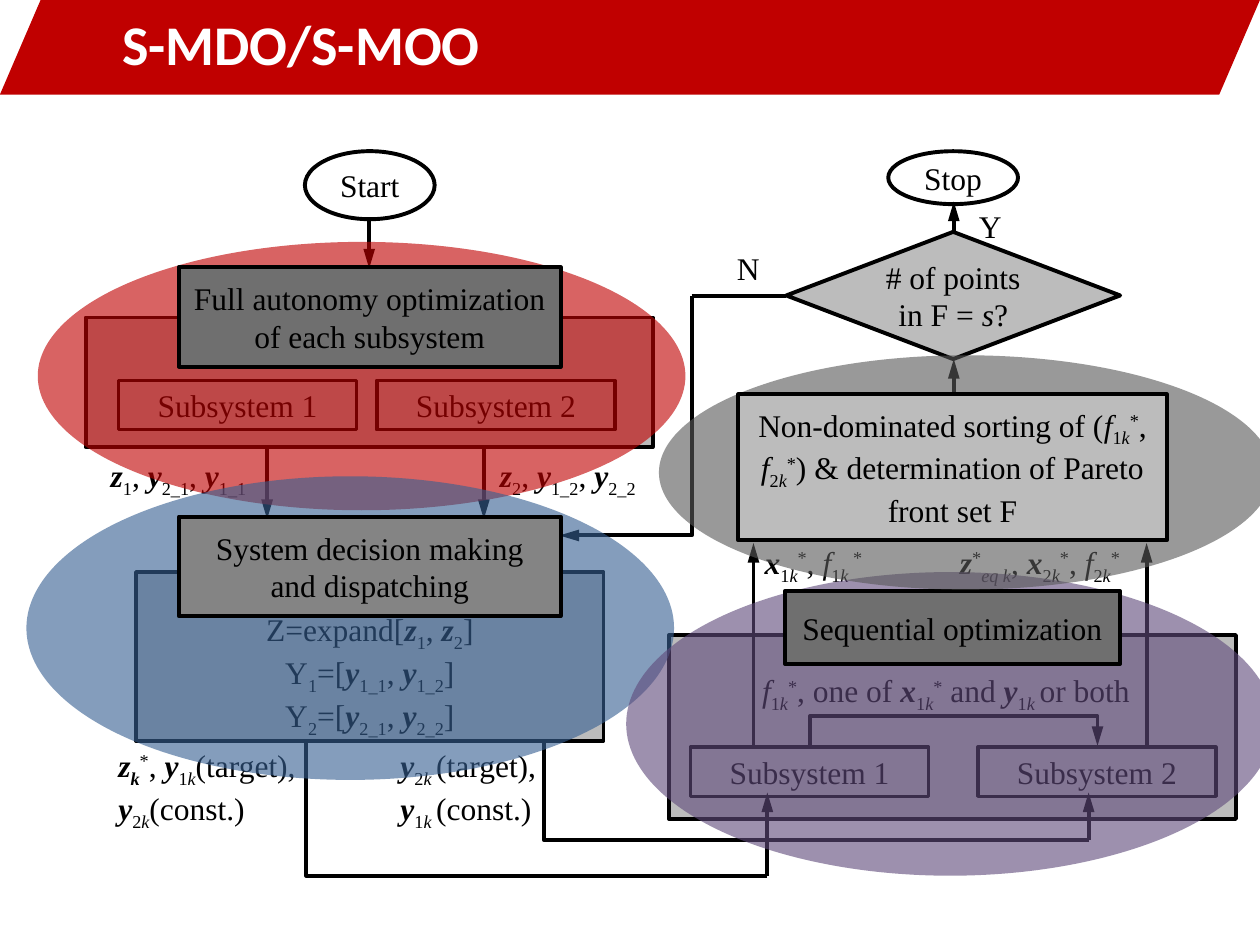
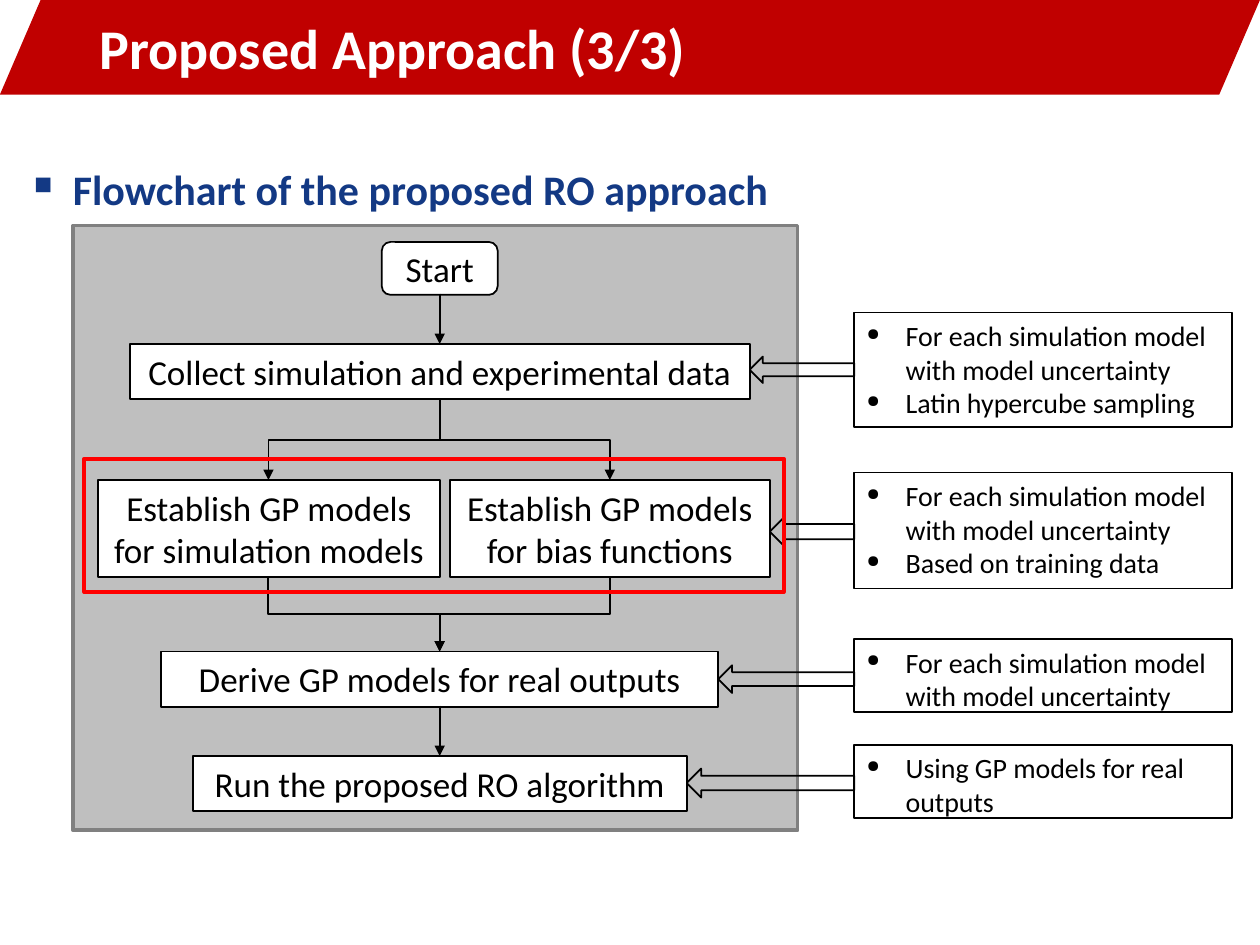
from lxml import etree
from pptx import Presentation
from pptx.dml.color import RGBColor
from pptx.enum.shapes import MSO_CONNECTOR, MSO_SHAPE
from pptx.enum.text import MSO_ANCHOR, MSO_AUTO_SIZE, PP_ALIGN
from pptx.oxml.ns import qn
from pptx.util import Inches, Pt

RECT, ELLIPSE, DIAMOND = MSO_SHAPE.RECTANGLE, MSO_SHAPE.OVAL, MSO_SHAPE.DIAMOND
ROUNDED, LEFT_ARROW = MSO_SHAPE.ROUNDED_RECTANGLE, MSO_SHAPE.LEFT_ARROW
SLANTED = MSO_SHAPE.PARALLELOGRAM
STRAIGHT, ELBOW = MSO_CONNECTOR.STRAIGHT, MSO_CONNECTOR.ELBOW
LEFT, CENTER = PP_ALIGN.LEFT, PP_ALIGN.CENTER
TOP, MIDDLE = MSO_ANCHOR.TOP, MSO_ANCHOR.MIDDLE

BLACK = RGBColor(0x00, 0x00, 0x00)
WHITE = RGBColor(0xFF, 0xFF, 0xFF)
CRIMSON = RGBColor(0xC0, 0x00, 0x00)
RED = RGBColor(0xFF, 0x00, 0x00)
BLUE = RGBColor(0x37, 0x60, 0x92)
PURPLE = RGBColor(0x60, 0x4A, 0x7B)
CHARCOAL = RGBColor(0x59, 0x59, 0x59)
NAVY = RGBColor(0x13, 0x39, 0x84)
LIGHT_GRAY = RGBColor(0xBC, 0xBC, 0xBC)
MID_GRAY = RGBColor(0x84, 0x84, 0x84)
DARK_GRAY = RGBColor(0x6F, 0x6F, 0x6F)
PANEL_GRAY = RGBColor(0xBF, 0xBF, 0xBF)
PANEL_EDGE = RGBColor(0x80, 0x80, 0x80)

SANS, SERIF = "Calibri", "Times New Roman"
THICK, THIN = 2.25, 1
BASELINES = {"d": "-25000", "u": "30000"}


def add_bullet(para, symbol):
    """Give the paragraph a hanging bullet at 60% of the text size."""
    properties = para._p.get_or_add_pPr()
    properties.set("marL", str(Inches(0.31)))
    properties.set("indent", str(-Inches(0.31)))
    etree.SubElement(properties, qn("a:buSzPct")).set("val", "60000")
    etree.SubElement(properties, qn("a:buChar")).set("char", symbol)


def write(box, text, size=18, font=SERIF, color=BLACK, bold=False,
          align=CENTER, anchor=MIDDLE, bullet=None, top_inset=0.05):
    """Write text: "|" parts spans; flags b, i, d (sub), u (super) precede "~"."""
    frame = box.text_frame
    frame.word_wrap = True
    frame.auto_size = MSO_AUTO_SIZE.NONE
    frame.vertical_anchor = anchor
    frame.margin_top = Inches(top_inset)
    for number, line in enumerate(text.split("\n")):
        para = frame.add_paragraph() if number else frame.paragraphs[0]
        para.alignment = align
        if bullet:
            add_bullet(para, bullet)
        for part in line.split("|"):
            flags, _, words = part.rpartition("~")
            span = para.add_run()
            span.text = words
            span.font.name = font
            span.font.size = Pt(size)
            span.font.color.rgb = color
            span.font.bold = bold or "b" in flags
            span.font.italic = "i" in flags
            for flag in BASELINES.keys() & set(flags):
                span._r.get_or_add_rPr().set("baseline", BASELINES[flag])


def add_box(slide, kind, place, text=None, fill=None, line=BLACK, width=THICK,
            **text_format):
    box = slide.shapes.add_shape(kind, *map(Inches, place))
    box.shadow.inherit = False
    if fill is None:
        box.fill.background()
    else:
        box.fill.solid()
        box.fill.fore_color.rgb = fill
    if line is None:
        box.line.fill.background()
    else:
        box.line.color.rgb = line
        box.line.width = Pt(width)
    if text:
        write(box, text, **text_format)
    return box


def add_label(slide, place, text, **text_format):
    label = slide.shapes.add_textbox(*map(Inches, place))
    write(label, text, **{"align": LEFT, "anchor": TOP, **text_format})


def add_halo(slide, place, color):
    """Draw a see-through ellipse over a stage of the flow."""
    halo = add_box(slide, ELLIPSE, place, fill=color, line=None)
    tint = halo._element.spPr.find(qn("a:solidFill"))[0]
    etree.SubElement(tint, qn("a:alpha")).set("val", "61000")


def add_line(slide, start, end, kind=STRAIGHT, width=THICK, arrow=True):
    line = slide.shapes.add_connector(kind, *map(Inches, start + end))
    line.line.color.rgb = BLACK
    line.line.width = Pt(width)
    if arrow:
        head = etree.SubElement(line.line._get_or_add_ln(), qn("a:tailEnd"))
        head.set("type", "triangle")
        head.set("len", "lg" if width == THICK else "med")
    etree.SubElement(line._element.spPr, qn("a:effectLst"))
    return line


def add_elbow(slide, start, end, bend=0.5, upright=False, **line_format):
    """Join two points by a bent line; an upright one leaves vertically."""
    if upright:
        # Lay the path on its side around its centre, then turn it by 90 degrees
        (x1, y1), (x2, y2) = start, end
        middle_x, middle_y = (x1 + x2) / 2, (y1 + y2) / 2
        half_x, half_y = (x2 - x1) / 2, (y2 - y1) / 2
        start = (middle_x - half_y, middle_y + half_x)
        end = (middle_x + half_y, middle_y - half_x)
    line = add_line(slide, start, end, ELBOW, **line_format)
    properties = line._element.spPr
    if upright:
        properties.find(qn("a:xfrm")).set("rot", "5400000")
    guides = properties.find(qn("a:prstGeom")).get_or_add_avLst()
    guide = etree.SubElement(guides, qn("a:gd"))
    guide.set("name", "adj1")
    guide.set("fmla", f"val {round(bend * 100000)}")


def add_band(slide):
    """Draw the title band and place it on the slide's layout."""
    band = add_box(slide, SLANTED, (0, 0, 10, 0.75), fill=CRIMSON, line=None)
    band.adjustments[0] = 0.43
    band._element.nvSpPr.cNvPr.set("id", "100")
    slide.slide_layout.shapes._spTree.insert(2, band._element)


def set_title(slide, place, text, align):
    title = slide.shapes.title
    title.left, title.top, title.width, title.height = map(Inches, place)
    write(title, text, size=32, font=SANS, color=WHITE, bold=True, align=align)


def add_subsystems(slide, lefts, top):
    for number, left in enumerate(lefts, 1):
        add_box(slide, RECT, (left, top, 1.89, 0.39), f"Subsystem {number}", width=2)


def build_optimization_flow(slide):
    set_title(slide, (0, -0.01, 4.78, 0.7), "S-MDO/S-MOO", CENTER)

    # Dispatching stage and the variables passed to and from it
    add_line(slide, (2.93, 1.74), (2.93, 2.13))
    add_box(slide, RECT, (1.08, 4.54, 3.71, 1.34),
            "Z=expand[|bi~z|d~1|,|bi~ z|d~2|]\n"
            "Y|d~1|=[|bi~y|d~1_1|, |bi~y|d~1_2|]\n"
            "Y|d~2|=[|bi~y|d~2_1|, |bi~y|d~2_2|]",
            fill=LIGHT_GRAY, top_inset=0.34)
    add_label(slide, (0.78, 3.57, 1.56, 0.4),
              "bi~z|d~1|, |bi~y|d~2_1|, |bi~y|d~1_1")
    add_label(slide, (3.87, 3.57, 1.54, 0.4),
              "bi~z|d~2|, |bi~y|d~1_2|, |bi~y|d~2_2")
    for x in (2.12, 3.84):
        add_line(slide, (x, 3.39), (x, 4.12))
    add_label(slide, (0.84, 5.87, 1.72, 0.71),
              "bi~z|bid~k|u~*|, |bi~y|d~1|id~k|(target),\nbi~y|d~2|id~k|(const.)")
    add_label(slide, (3.08, 5.87, 1.56, 0.71),
              "bi~y|d~2|id~k |(target),\nbi~y|d~1|id~k |(const.)")
    add_label(slide, (7.52, 4.26, 1.74, 0.4),
              "bi~z|u~*|id~eq k|, |bi~x|d~2|id~k|u~*|, |i~f|d~2|id~k|u~*")
    add_label(slide, (5.97, 4.26, 1.05, 0.4),
              "bi~x|d~1|id~k|u~*|, |i~f|d~1|id~k |u~*")

    # Stopping test
    add_line(slide, (7.57, 1.84), (7.57, 1.6))
    add_label(slide, (7.67, 1.59, 0.56, 0.4), "Y")
    add_box(slide, ELLIPSE, (7.05, 1.2, 1.03, 0.42), "Stop")
    add_box(slide, DIAMOND, (6.24, 1.84, 2.65, 1.01),
            "# of points in F = |i~s|?", fill=LIGHT_GRAY)
    add_box(slide, ELLIPSE, (2.42, 1.2, 1.03, 0.54), "Start")

    # Subsystem groups
    add_box(slide, RECT, (0.68, 2.52, 4.5, 1.03), fill=LIGHT_GRAY)
    add_subsystems(slide, (0.94, 2.99), 3.02)
    add_box(slide, RECT, (5.31, 5.04, 4.5, 1.46), fill=LIGHT_GRAY)
    add_subsystems(slide, (5.48, 7.76), 5.93)
    add_label(slide, (5.95, 5.28, 3.31, 0.4),
              "i~f|d~1|id~k|u~*|, one of |bi~x|d~1|id~k|u~*| and |bi~y|d~1|id~k |or both")

    # Links between the stages
    add_elbow(slide, (6.43, 5.93), (8.71, 5.92), bend=25, upright=True)
    for x in (5.98, 9.1):
        add_line(slide, (x, 5.91), (x, 4.31))
    add_line(slide, (7.57, 3.12), (7.57, 2.85))
    add_label(slide, (5.75, 1.93, 0.56, 0.4), "N")
    for left, right, bottom in ((2.43, 6.09, 6.95), (4.32, 8.64, 6.67)):
        add_elbow(slide, (left, 5.88), (right, bottom), bend=0, arrow=False)
        add_line(slide, (right, bottom), (right, 6.29))
    add_elbow(slide, (5.49, 2.35), (4.44, 4.25), bend=0)
    add_line(slide, (5.49, 2.35), (6.24, 2.35), arrow=False)

    # Stage halos, each with its heading box on top
    stages = [
        ((0.3, 1.92, 5.14, 2.13), CRIMSON, (1.42, 2.12, 3.03, 0.79), DARK_GRAY,
         "Full autonomy optimization of each subsystem"),
        ((0.21, 3.78, 5.14, 2.41), BLUE, (1.42, 4.1, 3.03, 0.79), MID_GRAY,
         "System decision making and dispatching"),
        ((4.97, 4.54, 5.14, 2.41), PURPLE, (6.23, 4.69, 2.66, 0.58), DARK_GRAY,
         "Sequential optimization"),
        ((5.23, 2.82, 4.87, 1.86), CHARCOAL, (5.86, 3.13, 3.4, 1.16), LIGHT_GRAY,
         "Non-dominated sorting of (|i~f|d~1|id~k|u~*|, |i~f|d~2|id~k|u~*|"
         ") & determination of Pareto front set F"),
    ]
    for halo_place, halo_color, place, fill, text in stages:
        add_halo(slide, halo_place, halo_color)
        add_box(slide, RECT, place, text, fill=fill)


def build_approach_flow(slide):
    set_title(slide, (0.69, 0, 8.89, 0.74), "Proposed Approach (3/3)", LEFT)
    add_label(slide, (0.17, 1.25, 9.25, 0.62), "Flowchart of the proposed RO approach",
              size=24, font=SANS, color=NAVY, bold=True, bullet="■")
    add_box(slide, RECT, (0.58, 1.79, 5.75, 4.8), fill=PANEL_GRAY, line=PANEL_EDGE)

    # Steps
    axis, branches = 3.49, (2.13, 4.84)
    add_box(slide, ROUNDED, (3.03, 1.92, 0.92, 0.42), "Start", fill=WHITE,
            width=THIN, size=20, font=SANS)
    steps = [
        ((1.03, 2.73, 4.92, 0.44), "Collect simulation and experimental data"),
        ((0.78, 3.81, 2.71, 0.77), "Establish GP models for simulation models"),
        ((3.57, 3.81, 2.54, 0.77), "Establish GP models for bias functions"),
        ((1.28, 5.17, 4.42, 0.44), "Derive GP models for real outputs"),
        ((1.53, 6, 3.92, 0.44), "Run the proposed RO algorithm"),
    ]
    for place, text in steps:
        add_box(slide, RECT, place, text, fill=WHITE, width=THIN, size=20,
                font=SANS, anchor=TOP)

    # Flow lines
    for top, bottom in ((2.33, 2.73), (5.6, 6)):
        add_line(slide, (axis, top), (axis, bottom), width=THIN)
    for branch in branches:
        add_elbow(slide, (axis, 3.17), (branch, 3.81), upright=True, width=THIN)
        add_elbow(slide, (branch, 4.58), (axis, 5.17), upright=True, width=THIN)

    # Notes, each with an arrow to its step
    note_left = 6.78
    model_note = "For each simulation model with model uncertainty"
    notes = [
        (2.48, 0.91, model_note + "\nLatin hypercube sampling", 5.95, 2.83, 0.21),
        (3.75, 0.92, model_note + "\nBased on training data", 6.11, 4.1, 0.24),
        (5.07, 0.58, model_note, 5.7, 5.28, 0.22),
        (5.91, 0.58, "Using GP models for real outputs", 5.45, 6.1, 0.23),
    ]
    for top, height, text, tip, arrow_top, arrow_height in notes:
        add_box(slide, LEFT_ARROW, (tip, arrow_top, note_left - tip, arrow_height),
                width=THIN)
        add_box(slide, RECT, (note_left, top, 3, height), text, width=THIN, size=16,
                font=SANS, align=LEFT, anchor=TOP, bullet="●")
    add_box(slide, RECT, (0.67, 3.64, 5.55, 1.06), line=RED)


def main():
    deck = Presentation()
    deck.slide_width, deck.slide_height = Inches(10), Inches(7.5)
    title_only = deck.slide_layouts[5]
    pages = [deck.slides.add_slide(title_only) for _ in range(2)]
    add_band(pages[0])
    build_optimization_flow(pages[0])
    build_approach_flow(pages[1])
    deck.save("out.pptx")


if __name__ == "__main__":
    main()
